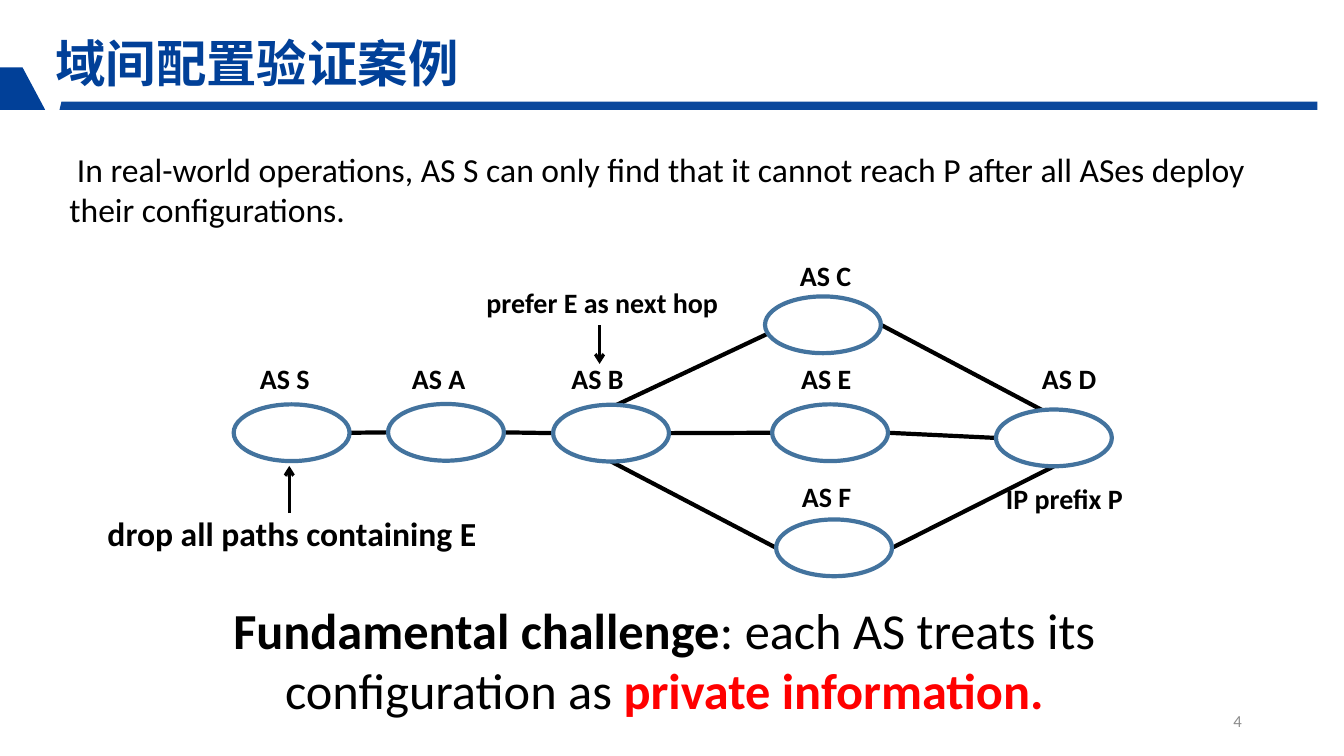
from lxml import etree
from pptx import Presentation
from pptx.dml.color import RGBColor
from pptx.enum import shapes, text
from pptx.oxml import ns
from pptx.util import Cm, Pt

HEX = {"blue": "014098", "ring": "43739E", "black": "000000",
       "white": "FFFFFF", "red": "FF0000", "gray": "8C8C8C"}
FONT = "Calibri"
NODE_W, NODE_H = 2.92, 1.43
NODES = {
    "S": (3.43, 3.81), "A": (7.32, 3.8), "B": (11.48, 3.82),
    "C": (16.82, 1.09), "E": (17, 3.81), "F": (17.1, 6.71),
    "D": (22.64, 3.94),
}
LABELS = {
    "S": (3.84, 2.61), "A": (7.67, 2.61), "B": (11.69, 2.61),
    "C": (17.45, 0), "E": (17.48, 2.61), "F": (17.5, 5.59),
    "D": (23.55, 2.61),
}
LEFT, RIGHT, BOTTOM = (0, 0.5), (1, 0.5), (0.5, 1)
LINKS = [
    ("S", RIGHT, "A", LEFT), ("A", RIGHT, "B", LEFT),
    ("B", RIGHT, "E", LEFT), ("E", RIGHT, "D", LEFT),
    ("B", (0.55, 0), "C", (0.28, 0.41)), ("B", BOTTOM, "F", LEFT),
    ("C", RIGHT, "D", (0.5, 0.12)), ("D", BOTTOM, "F", RIGHT),
]
NOTES = [
    ("prefer E as next hop", 20, (9.55, 0.68, 8.13, 1.12)),
    ("drop all paths containing E", 24, (0, 6.43, 10.36, 1.27)),
    ("IP prefix P", 20, (22.64, 5.63, 4.8, 1.12)),
]
ARROWS = [((12.65, 1.82), (12.65, 2.79)), ((4.83, 6.55), (4.83, 5.36))]


def rgb(name):
    return RGBColor.from_string(HEX[name])


def write(frame, runs, size, align=text.PP_ALIGN.LEFT):
    para = frame.paragraphs[0]
    para.alignment = align
    for words, color, bold in runs:
        run = para.add_run()
        run.text = words
        run.font.name = FONT
        run.font.size = Pt(size)
        run.font.bold = bold
        run.font.color.rgb = rgb(color)


def label(slide, box, runs, size, align=text.PP_ALIGN.LEFT):
    frame = slide.shapes.add_textbox(*map(Cm, box)).text_frame
    frame.word_wrap = True
    write(frame, runs, size, align)
    return frame


def line(slide, start, end, width, arrow=False):
    link = slide.shapes.add_connector(
        shapes.MSO_CONNECTOR.STRAIGHT, *map(Cm, start + end))
    link.line.color.rgb = rgb("black")
    link.line.width = Pt(width)
    if arrow:
        tip = etree.SubElement(link.line._get_or_add_ln(), ns.qn("a:tailEnd"))
        tip.set("type", "arrow")
    etree.SubElement(link._element.spPr, ns.qn("a:effectLst"))


def poly(slide, points):
    first, *rest = [(Cm(x), Cm(y)) for x, y in points]
    pen = slide.shapes.build_freeform(*first, scale=1.0)
    pen.add_line_segments(rest, close=True)
    form = pen.convert_to_shape()
    form.shadow.inherit = False
    form.fill.solid()
    form.fill.fore_color.rgb = rgb("blue")
    form.line.fill.background()
    return form


def header(slide, box):
    x, y, w, h = box
    end = y + h
    bar = poly(slide, [(x + 1.5, end), (x + w, end),
                       (x + w, end - 0.21), (x + 1.55, end - 0.21)])
    tint = bar._element.spPr.find(".//" + ns.qn("a:srgbClr"))
    etree.SubElement(tint, ns.qn("a:alpha")).set("val", "96000")
    poly(slide, [(x + 0.57, end - 1.07), (x + 1.14, end),
                 (x, end), (x, end - 1.07)])
    title = slide.shapes.title
    title.left, title.top = Cm(x + 1.14), Cm(y)
    title.width, title.height = Cm(10.77), Cm(1.8)
    frame = title.text_frame
    frame.auto_size = text.MSO_AUTO_SIZE.NONE
    frame.word_wrap = False
    frame.vertical_anchor = text.MSO_ANCHOR.TOP
    write(frame, [("域间配置验证案例", "blue", True)], 36)


def graph(slide, box):
    left, top = box[:2]

    def spot(point):
        return left + point[0], top + point[1]

    def port(name, part):
        x, y = spot(NODES[name])
        return x + part[0] * NODE_W, y + part[1] * NODE_H

    for source, out, target, into in LINKS:
        line(slide, port(source, out), port(target, into), 3)
    for name, point in NODES.items():
        node = slide.shapes.add_shape(
            shapes.MSO_SHAPE.OVAL, *map(Cm, spot(point) + (NODE_W, NODE_H)))
        node.shadow.inherit = False
        node.fill.solid()
        node.fill.fore_color.rgb = rgb("white")
        node.line.color.rgb = rgb("ring")
        node.line.width = Pt(3)
        label(slide, spot(LABELS[name]) + (2.5, 1.12),
              [("AS " + name, "black", True)], 20)
    for words, size, area in NOTES:
        label(slide, spot(area) + area[2:], [(words, "black", True)], size)
    for start, end in ARROWS:
        line(slide, spot(start), spot(end), 2.25, True)


def closing(slide, box):
    label(slide, box, [
        ("Fundamental challenge", "black", True),
        (": each AS treats its configuration as ", "black", False),
        ("private information.", "red", True),
    ], 36, text.PP_ALIGN.CENTER)


def footer(slide, box):
    frame = label(slide, box, [("4", "gray", False)], 12,
                  text.PP_ALIGN.RIGHT)
    frame.vertical_anchor = text.MSO_ANCHOR.MIDDLE


def main():
    deck = Presentation()
    deck.slide_width, deck.slide_height = Cm(33.87), Cm(19.05)
    slide = deck.slides.add_slide(deck.slide_layouts[5])
    header(slide, (0, 0.69, 33.2, 2.08))
    label(slide, (1.5, 3.63, 31.67, 2.31), [
        (" In real-world operations, AS S can only find that it cannot "
         "reach P after all ASes deploy their configurations.",
         "black", False)], 24)
    graph(slide, (2.46, 6.38, 27.44, 8.14))
    closing(slide, (4.17, 14.96, 25.15, 3.33))
    footer(slide, (23.93, 17.65, 7.62, 1.02))
    deck.save("out.pptx")


if __name__ == "__main__":
    main()
